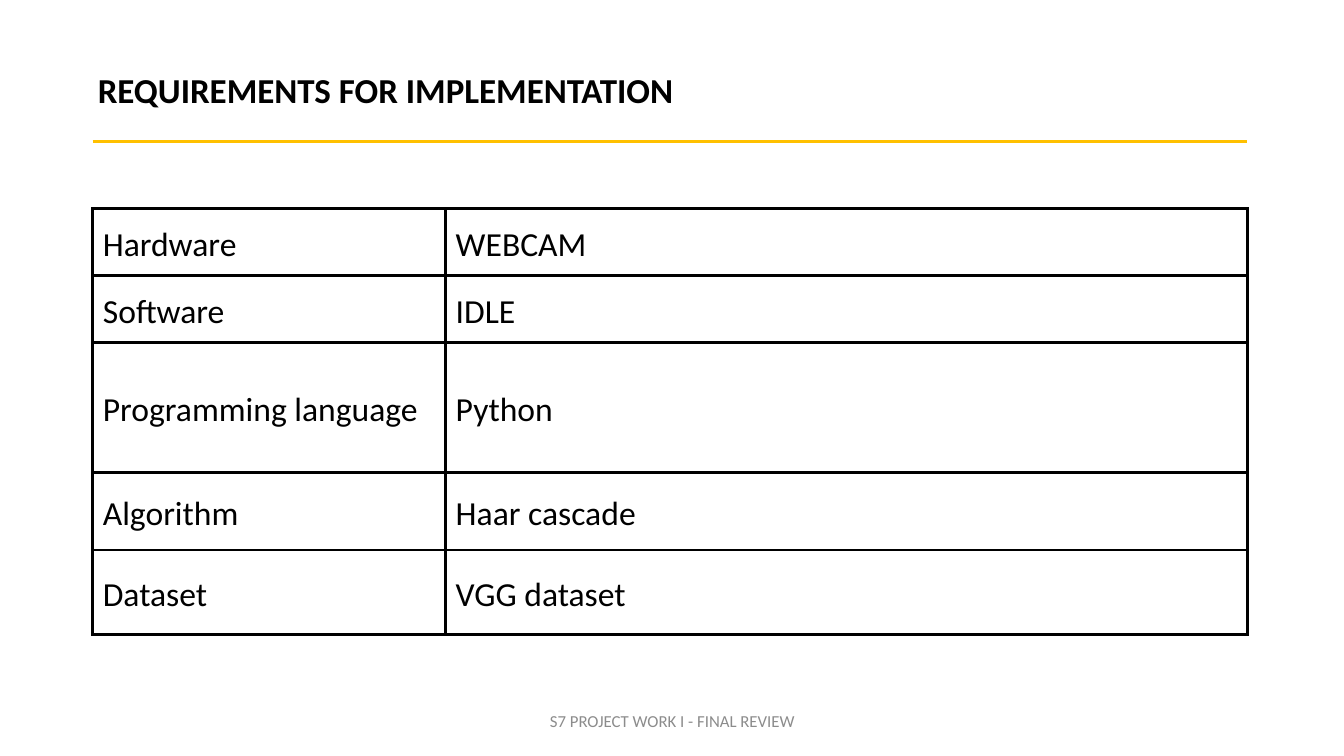
from lxml import etree
from pptx import Presentation
from pptx import util as u
from pptx.dml.color import RGBColor
from pptx.enum import shapes, text
from pptx.oxml.ns import qn

COLORS = {"ink": "000000", "footer": "8C8C8C", "rule": "FFC000"}
LEFT = 0.92
COLUMNS = [3.5, 7.95]

# Each table: top, then rows of (height, label, value)
TABLES = [
    (2.73, [
        (0.66, "Software", "IDLE"),
        (1.29, "Programming language", "Python"),
        (0.77, "Algorithm", "Haar cascade"),
        (0.84, "Dataset", "VGG dataset"),
    ]),
    (2.07, [(0.66, "Hardware", "WEBCAM")]),
]


def write(p, words, size, color, bold=False):
    p.text = words
    font = p.runs[0].font
    font.name = "Calibri"
    font.size = u.Pt(size)
    font.bold = bold
    font.color.rgb = RGBColor.from_string(COLORS[color])


def add_borders(cell):
    tcPr = cell._tc.get_or_add_tcPr()
    for i, side in enumerate(("lnL", "lnR", "lnT", "lnB")):
        ln = etree.Element(qn(f"a:{side}"), w=str(u.Pt(2.25)))
        fill = etree.SubElement(ln, qn("a:solidFill"))
        etree.SubElement(fill, qn("a:srgbClr"), val=COLORS["ink"])
        tcPr.insert(i, ln)


prs = Presentation()
prs.slide_width, prs.slide_height = u.Inches(13.33), u.Inches(7.5)
s = prs.slides.add_slide(prs.slide_layouts[5])

# Title
title = s.shapes.title
title.left, title.top = u.Inches(LEFT), u.Inches(0.16)
title.width, title.height = u.Inches(11.5), u.Inches(1.45)
tf = title.text_frame
tf.auto_size = text.MSO_AUTO_SIZE.NONE
tf.vertical_anchor = text.MSO_ANCHOR.MIDDLE
tf.margin_left = tf.margin_right = tf.margin_top = tf.margin_bottom = u.Inches(0.05)
p = tf.paragraphs[0]
write(p, "REQUIREMENTS FOR IMPLEMENTATION", 25, "ink", bold=True)
p.alignment = text.PP_ALIGN.JUSTIFY
p.space_before = u.Pt(10)

# Rule under the title
rule = s.shapes.add_connector(shapes.MSO_CONNECTOR.STRAIGHT, u.Inches(LEFT),
                              u.Inches(1.4), u.Inches(12.37), u.Inches(1.4))
rule.line.color.rgb = RGBColor.from_string(COLORS["rule"])
rule.line.width = u.Pt(2.25)
etree.SubElement(rule._element.spPr, qn("a:effectLst"))

# Requirement tables
for top, rows in TABLES:
    height = sum(row[0] for row in rows)
    table = s.shapes.add_table(len(rows), len(COLUMNS), u.Inches(LEFT), u.Inches(top),
                               u.Inches(sum(COLUMNS)), u.Inches(height)).table
    table.first_row = table.horz_banding = False
    for column, width in zip(table.columns, COLUMNS):
        column.width = u.Inches(width)
    for row, (row_height, *words) in zip(table.rows, rows):
        row.height = u.Inches(row_height)
        for cell, word in zip(row.cells, words):
            cell.fill.background()
            add_borders(cell)
            cell.vertical_anchor = text.MSO_ANCHOR.MIDDLE
            cell.margin_left = cell.margin_right = u.Inches(0.1)
            cell.margin_top = cell.margin_bottom = u.Inches(0.1)
            p = cell.text_frame.paragraphs[0]
            write(p, word, 24, "ink")
            p.line_spacing = 1.15

# Footer
footer = s.shapes.add_textbox(u.Inches(4.42), u.Inches(6.95), u.Inches(4.5), u.Inches(0.4))
tf = footer.text_frame
tf.word_wrap = True
tf.vertical_anchor = text.MSO_ANCHOR.MIDDLE
p = tf.paragraphs[0]
write(p, "S7 PROJECT WORK I - FINAL REVIEW", 12, "footer")
p.alignment = text.PP_ALIGN.CENTER

prs.save("out.pptx")
